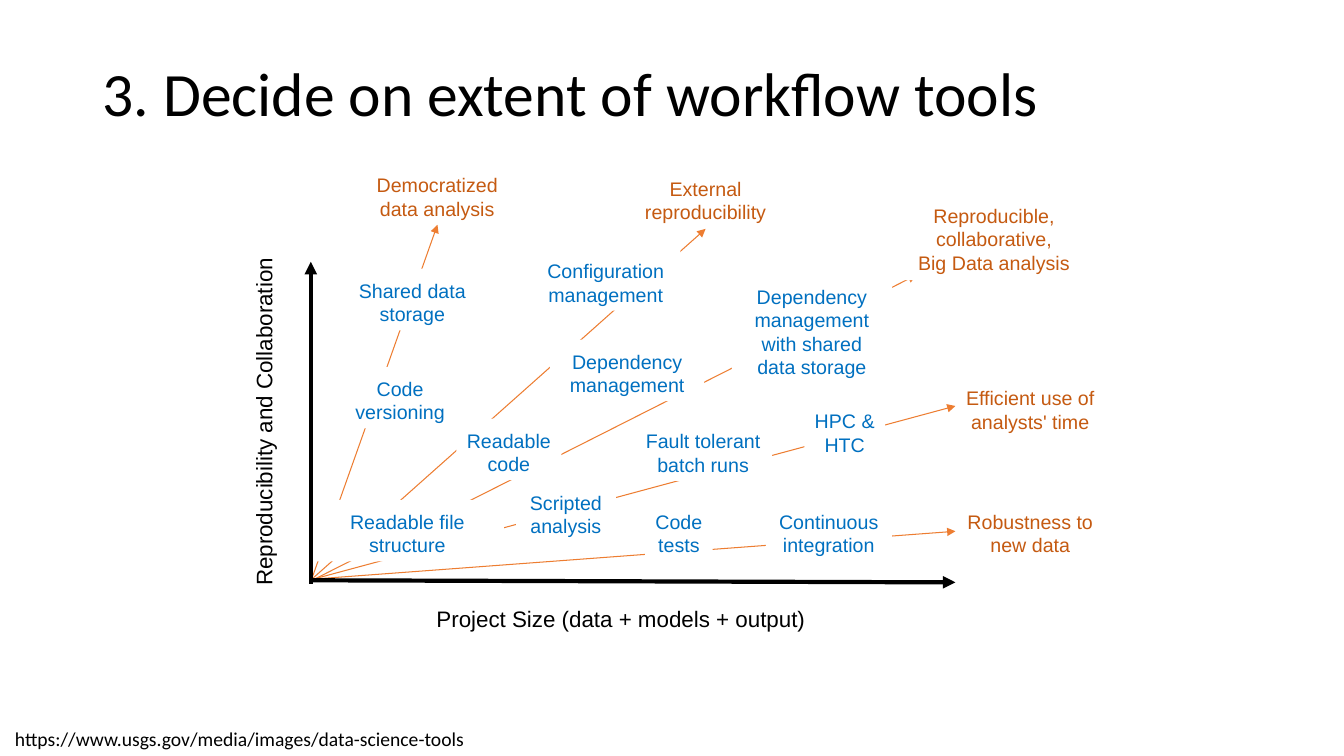
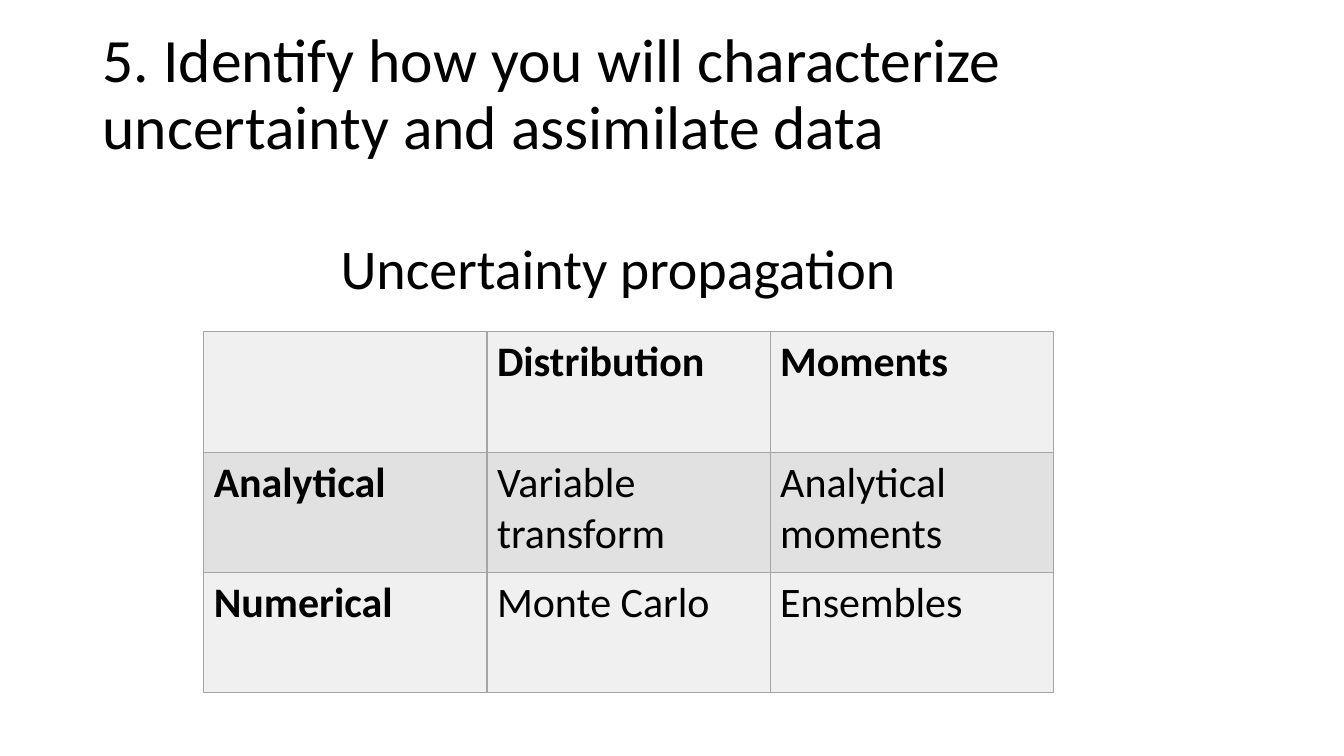
from dataclasses import dataclass
from typing import NamedTuple

from lxml import etree
from pptx import Presentation
from pptx.dml.color import RGBColor
from pptx.enum.shapes import MSO_CONNECTOR, MSO_SHAPE
from pptx.enum.text import MSO_ANCHOR, PP_ALIGN
from pptx.oxml.ns import qn
from pptx.slide import Slide
from pptx.table import _Cell
from pptx.text.text import TextFrame
from pptx.util import Pt

RECTANGLE = MSO_SHAPE.RECTANGLE
STRAIGHT = MSO_CONNECTOR.STRAIGHT
LEFT, CENTER = PP_ALIGN.LEFT, PP_ALIGN.CENTER
TOP, MIDDLE = MSO_ANCHOR.TOP, MSO_ANCHOR.MIDDLE


@dataclass(frozen=True)
class Theme:
    text: str = "000000"
    background: str = "FFFFFF"
    flow: str = "ED7D31"
    tool: str = "0070C0"
    goal: str = "C55A11"
    border: str = "A5A5A5"
    bands: tuple[str, str] = ("F0F0F0", "E1E1E1")
    body_font: str = "Calibri"
    diagram_font: str = "Arial"
    title_size: float = 44
    subtitle_size: float = 40
    table_size: float = 30
    axis_size: float = 16
    label_size: float = 14
    title_spacing: float = 0.9
    flow_width: float = 0.75
    axis_width: float = 3
    border_width: float = 1


THEME = Theme()


class Box(NamedTuple):
    left: float
    top: float
    width: float
    height: float


class Style(NamedTuple):
    size: float
    color: str = THEME.text
    font: str = THEME.body_font
    bold: bool = False
    align: PP_ALIGN = LEFT


class Label(NamedTuple):
    text: str
    left: float
    top: float
    width: float
    lines: int = 2


class Arrow(NamedTuple):
    start: tuple[float, float]
    end: tuple[float, float]


TITLE_BOX = Box(66.25, 16.5, 848, 104.5)
TITLE_STYLE = Style(THEME.title_size)
TOOL_STYLE = Style(THEME.label_size, THEME.tool, THEME.diagram_font, align=CENTER)
GOAL_STYLE = TOOL_STYLE._replace(color=THEME.goal)
AXIS_STYLE = Style(THEME.axis_size, font=THEME.diagram_font, align=CENTER)

LABEL_LINE_HEIGHT = 18
LABEL_PADDING = 8
GOAL_WIDTH = 106.6
GOAL_LEFT = 682.6
BASE_ROW_TOP = 357

TOOLS = (
    Label("Readable file structure", 222, BASE_ROW_TOP, 138),
    Label("Code tests", 460.8, BASE_ROW_TOP, 48.3),
    Label("Continuous integration", 547, BASE_ROW_TOP, 90),
    Label("Scripted analysis", 368.6, 343.4, 71.3),
    Label("Fault tolerant batch runs", 453, 299.5, 98.6),
    Label("HPC & HTC", 574.6, 285, 57.6),
    Label("Readable code", 326, 299, 75),
    Label("Dependency management", 393, 242.6, 110),
    Label("Dependency management with shared data storage", 522.7, 196, 114.5, 4),
    Label("Configuration management", 379.4, 178, 106.6),
    Label("Code versioning", 245.5, 262, 80.6),
    Label("Shared data storage", 247, 192, 95),
)
GOALS = (
    Label("Democratized data analysis", 259, 116.6, GOAL_WIDTH),
    Label("External reproducibility", 450.7, 119, GOAL_WIDTH),
    Label("Reproducible, collaborative,\nBig Data analysis", 643, 138.2, 134, 3),
    Label("Efficient use of analysts' time", GOAL_LEFT, 268.6, GOAL_WIDTH),
    Label("Robustness to new data", GOAL_LEFT, BASE_ROW_TOP, GOAL_WIDTH),
)
FLOWS = (
    Arrow((222.5, 414), (312.5, 160.5)),
    Arrow((223, 413.5), (504, 163.5)),
    Arrow((224, 414), (654.5, 196.5)),
    Arrow((224.5, 413.5), (682.5, 290)),
    Arrow((226, 413.5), (682.5, 379.5)),
)
AXES = (
    Arrow((222, 417), (222, 187)),
    Arrow((222, 414.5), (682.5, 416)),
)

TABLE_BOX = Box(145.5, 237, 607, 258)
TABLE_ROWS = (
    ("", "Distribution", "Moments"),
    ("Analytical", "Variable transform", "Analytical moments"),
    ("Numerical", "Monte Carlo", "Ensembles"),
)


def rgb(color: str) -> RGBColor:
    return RGBColor.from_string(color)


def write_text(text_frame: TextFrame, text: str, style: Style) -> None:
    text_frame.text = text
    for paragraph in text_frame.paragraphs:
        paragraph.alignment = style.align
        for run in paragraph.runs:
            run.font.name = style.font
            run.font.size = Pt(style.size)
            run.font.bold = style.bold
            run.font.color.rgb = rgb(style.color)


def add_text(slide: Slide, text: str, box: Box, style: Style) -> TextFrame:
    text_frame = slide.shapes.add_textbox(*map(Pt, box)).text_frame
    text_frame.word_wrap = True
    write_text(text_frame, text, style)
    return text_frame


def add_title(slide: Slide, text: str) -> None:
    text_frame = add_text(slide, text, TITLE_BOX, TITLE_STYLE)
    text_frame.vertical_anchor = MIDDLE
    text_frame.paragraphs[0].line_spacing = THEME.title_spacing


def add_plate(slide: Slide, text: str, box: Box, style: Style, rotation: float = 0) -> None:
    """Draw text on a rectangle that hides the arrows behind it."""
    shape = slide.shapes.add_shape(RECTANGLE, *map(Pt, box))
    shape.shadow.inherit = False
    shape.fill.solid()
    shape.fill.fore_color.rgb = rgb(THEME.background)
    shape.line.fill.background()
    shape.rotation = rotation
    text_frame = shape.text_frame
    text_frame.margin_left = text_frame.margin_right = Pt(7.2)
    text_frame.margin_top = text_frame.margin_bottom = Pt(7.2)
    text_frame.vertical_anchor = TOP
    text_frame.word_wrap = True
    write_text(text_frame, text, style)


def add_labels(slide: Slide, labels: tuple[Label, ...], style: Style) -> None:
    for label in labels:
        height = LABEL_PADDING + LABEL_LINE_HEIGHT * label.lines
        add_plate(slide, label.text, Box(label.left, label.top, label.width, height), style)


def add_arrows(slide: Slide, arrows: tuple[Arrow, ...], color: str, width: float) -> None:
    for arrow in arrows:
        connector = slide.shapes.add_connector(STRAIGHT, *map(Pt, arrow.start + arrow.end))
        connector.line.color.rgb = rgb(color)
        connector.line.width = Pt(width)
        properties = connector.element.spPr
        etree.SubElement(properties.find(qn("a:ln")), qn("a:tailEnd"), type="triangle")
        etree.SubElement(properties, qn("a:effectLst"))


def set_borders(cell: _Cell) -> None:
    properties = cell._tc.get_or_add_tcPr()
    for side in ("a:lnL", "a:lnR", "a:lnT", "a:lnB"):
        line = etree.SubElement(properties, qn(side), w=str(Pt(THEME.border_width)))
        fill = etree.SubElement(line, qn("a:solidFill"))
        etree.SubElement(fill, qn("a:srgbClr"), val=THEME.border)


def add_banded_table(slide: Slide, rows: tuple[tuple[str, ...], ...], box: Box) -> None:
    """Draw a table with alternating row fills and bold headings on top and at left."""
    table = slide.shapes.add_table(len(rows), len(rows[0]), *map(Pt, box)).table
    table.first_row = table.horz_banding = False
    for row_index, row in enumerate(rows):
        for column_index, text in enumerate(row):
            cell = table.cell(row_index, column_index)
            set_borders(cell)
            cell.fill.solid()
            cell.fill.fore_color.rgb = rgb(THEME.bands[row_index % 2])
            is_heading = row_index == 0 or column_index == 0
            write_text(cell.text_frame, text, Style(THEME.table_size, bold=is_heading))


def build_workflow_slide(slide: Slide) -> None:
    add_title(slide, "3. Decide on extent of workflow tools")
    add_arrows(slide, FLOWS, THEME.flow, THEME.flow_width)
    add_plate(slide, "Reproducibility and Collaboration",
              Box(42.5, 283.7, 293, 35.3), AXIS_STYLE, rotation=270)
    add_plate(slide, "Project Size (data + models + output)",
              Box(277.2, 424.8, 332.6, 35.3), AXIS_STYLE)
    add_labels(slide, TOOLS, TOOL_STYLE)
    add_labels(slide, GOALS, GOAL_STYLE)
    add_arrows(slide, AXES, THEME.text, THEME.axis_width)
    add_text(slide, "https://www.usgs.gov/media/images/data-science-tools",
             Box(3.6, 516, 340, 24), Style(THEME.label_size))


def build_uncertainty_slide(slide: Slide) -> None:
    add_title(slide, "5. Identify how you will characterize uncertainty and assimilate data")
    add_text(slide, "Uncertainty propagation",
             Box(236.2, 163.4, 488, 55.4), Style(THEME.subtitle_size))
    add_banded_table(slide, TABLE_ROWS, TABLE_BOX)


def main() -> None:
    presentation = Presentation()
    presentation.slide_width, presentation.slide_height = Pt(960), Pt(540)
    blank_layout = presentation.slide_layouts[6]
    for build in (build_workflow_slide, build_uncertainty_slide):
        build(presentation.slides.add_slide(blank_layout))
    presentation.save("out.pptx")


if __name__ == "__main__":
    main()
